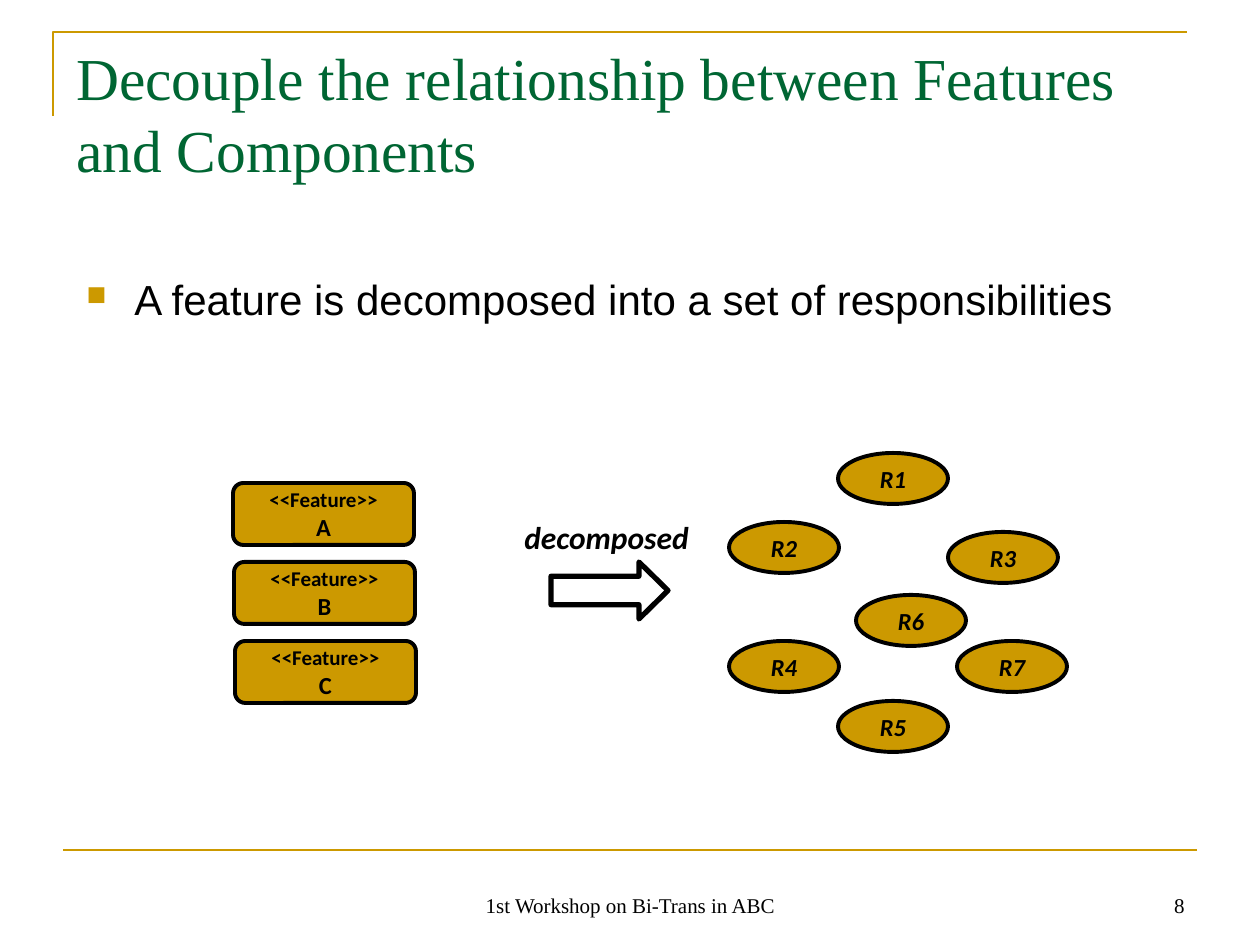
from dataclasses import dataclass

from lxml import etree
from pptx import Presentation
from pptx import util as u
from pptx.dml.color import RGBColor
from pptx.enum import shapes, text
from pptx.oxml import ns

PIXELS_PER_INCH = 126
COLORS = {"gold": "CC9900", "green": "006633", "black": "000000"}
SERIF, SANS, LABEL = "Times New Roman", "Arial", "Calibri"


@dataclass
class Box:
    left: int
    top: int
    width: int
    height: int


@dataclass
class Responsibility:
    name: str
    left: int
    top: int


RESPONSIBILITIES = [
    Responsibility("R1", 838, 453),
    Responsibility("R2", 729, 522),
    Responsibility("R3", 948, 532),
    Responsibility("R4", 729, 641),
    Responsibility("R5", 838, 701),
    Responsibility("R6", 856, 595),
    Responsibility("R7", 957, 641),
]


def px(length: int) -> u.Emu:
    return u.Emu(round(length * 914400 / PIXELS_PER_INCH))


def color(name: str) -> RGBColor:
    return RGBColor.from_string(COLORS[name])


def place(box: Box) -> tuple:
    return px(box.left), px(box.top), px(box.width), px(box.height)


def write(paragraph, content: str, *, size: int, font=LABEL, ink="black",
          bold=False, italic=False, align=text.PP_ALIGN.LEFT) -> None:
    paragraph.alignment = align
    run = paragraph.add_run()
    run.text = content
    run.font.size = u.Pt(size)
    run.font.name = font
    run.font.bold = bold
    run.font.italic = italic
    run.font.color.rgb = color(ink)


def add_text(slide, box: Box, content: str, *, anchor=text.MSO_ANCHOR.TOP, **style):
    frame = slide.shapes.add_textbox(*place(box)).text_frame
    frame.word_wrap = True
    frame.vertical_anchor = anchor
    write(frame.paragraphs[0], content, **style)
    return frame.paragraphs[0]


def add_bullet(paragraph, indent: int) -> None:
    properties = paragraph._p.get_or_add_pPr()
    properties.set("marL", str(px(indent)))
    properties.set("indent", str(-px(indent)))
    bullet_color = etree.SubElement(properties, ns.qn("a:buClr"))
    etree.SubElement(bullet_color, ns.qn("a:srgbClr"), val=COLORS["gold"])
    etree.SubElement(properties, ns.qn("a:buSzPct"), val="65000")
    etree.SubElement(properties, ns.qn("a:buChar"), char="■")


def add_outlined(slide, kind, box: Box, *, weight=2.25, filled=True):
    shape = slide.shapes.add_shape(kind, *place(box))
    shape.shadow.inherit = False
    if filled:
        shape.fill.solid()
        shape.fill.fore_color.rgb = color("gold")
    else:
        shape.fill.background()
    shape.line.color.rgb = color("black")
    shape.line.width = u.Pt(weight)
    shape.text_frame.word_wrap = False
    shape.text_frame.vertical_anchor = text.MSO_ANCHOR.MIDDLE
    return shape


def add_feature(slide, name: str, box: Box) -> None:
    shape = add_outlined(slide, shapes.MSO_SHAPE.ROUNDED_RECTANGLE, box)
    frame = shape.text_frame
    center = text.PP_ALIGN.CENTER
    write(frame.paragraphs[0], "<<Feature>>", size=12, bold=True, align=center)
    write(frame.add_paragraph(), name, size=14, bold=True, align=center)


def add_responsibility(slide, item: Responsibility) -> None:
    shape = add_outlined(slide, shapes.MSO_SHAPE.OVAL, Box(item.left, item.top, 110, 51))
    write(shape.text_frame.paragraphs[0], item.name, size=14, bold=True, italic=True,
          align=text.PP_ALIGN.CENTER)


def add_frame_lines(slide) -> None:
    builder = slide.shapes.build_freeform(px(53), px(116))
    builder.add_line_segments([(px(53), px(32)), (px(1187), px(32))], close=False)
    corner = builder.convert_to_shape()
    corner.shadow.inherit = False
    corner.fill.background()
    rule = slide.shapes.add_connector(
        shapes.MSO_CONNECTOR.STRAIGHT, px(63), px(850), px(1197), px(850))
    etree.SubElement(rule._element.spPr, ns.qn("a:effectLst"))
    for shape in (corner, rule):
        shape.line.color.rgb = color("gold")
        shape.line.width = u.Pt(1.5)


def main() -> None:
    presentation = Presentation()
    presentation.slide_width, presentation.slide_height = px(1260), px(945)
    slide = presentation.slides.add_slide(presentation.slide_layouts[6])

    add_frame_lines(slide)
    add_text(slide, Box(64, 35, 1134, 158),
             "Decouple the relationship between Features and Components",
             size=34, font=SERIF, ink="green")
    statement = add_text(slide, Box(74, 273, 1134, 208),
                         "A feature is decomposed into a set of responsibilities",
                         size=24, font=SANS)
    add_bullet(statement, 48)
    statement.line_spacing = 0.9

    for index, name in enumerate("ABC"):
        add_feature(slide, name, Box(233 + index, 483 + 79 * index, 181, 62))

    arrow = add_outlined(slide, shapes.MSO_SHAPE.RIGHT_ARROW, Box(551, 562, 117, 57),
                         weight=3, filled=False)
    arrow.adjustments[1] = 0.51
    add_text(slide, Box(512, 512, 190, 50), "decomposed", size=18, bold=True, italic=True)

    for item in RESPONSIBILITIES:
        add_responsibility(slide, item)

    bottom = text.MSO_ANCHOR.BOTTOM
    add_text(slide, Box(431, 861, 399, 63), "1st Workshop on Bi-Trans in ABC",
             size=12, font=SERIF, anchor=bottom, align=text.PP_ALIGN.CENTER)
    add_text(slide, Box(903, 861, 294, 63), "8",
             size=12, font=SERIF, anchor=bottom, align=text.PP_ALIGN.RIGHT)

    presentation.save("out.pptx")


if __name__ == "__main__":
    main()
